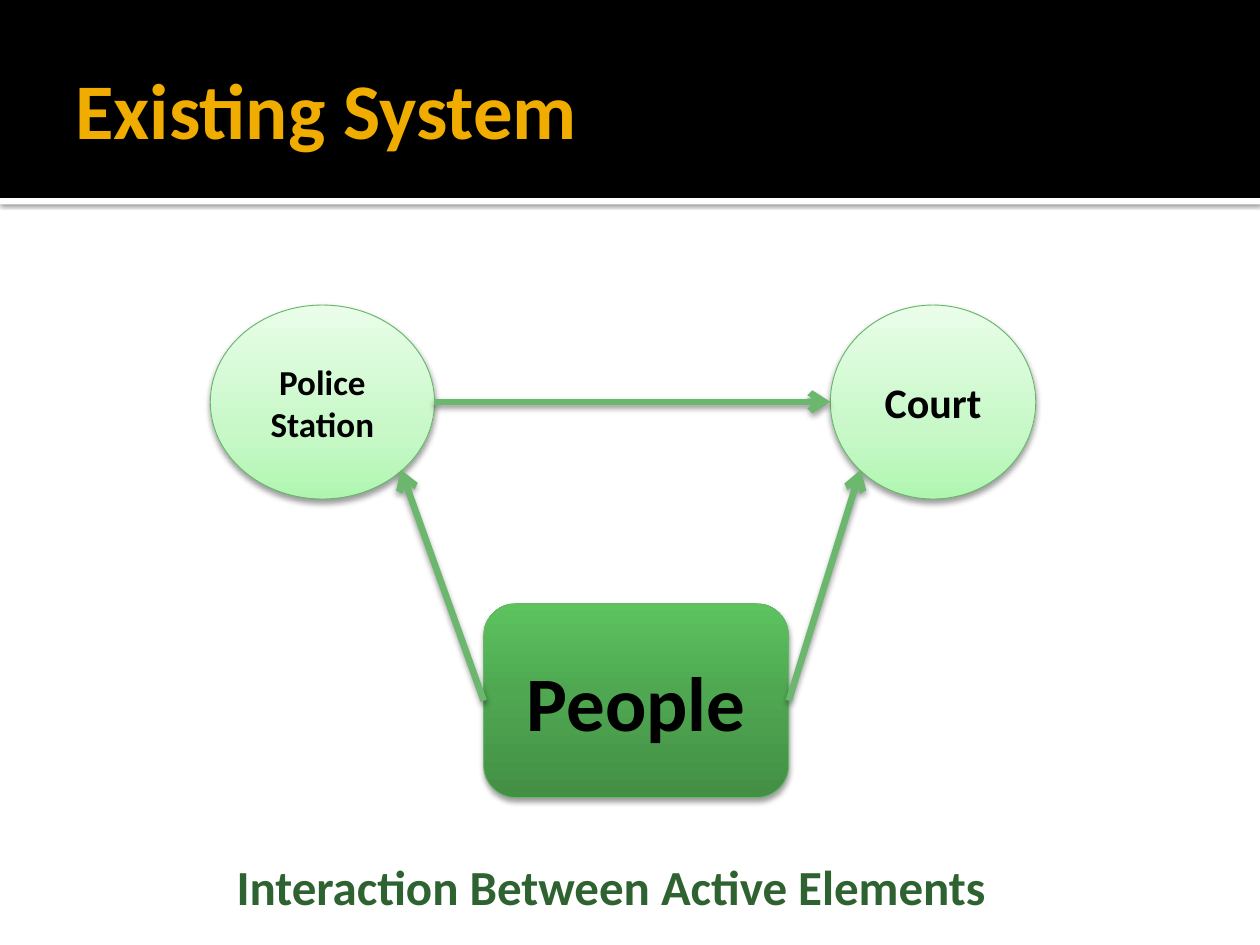
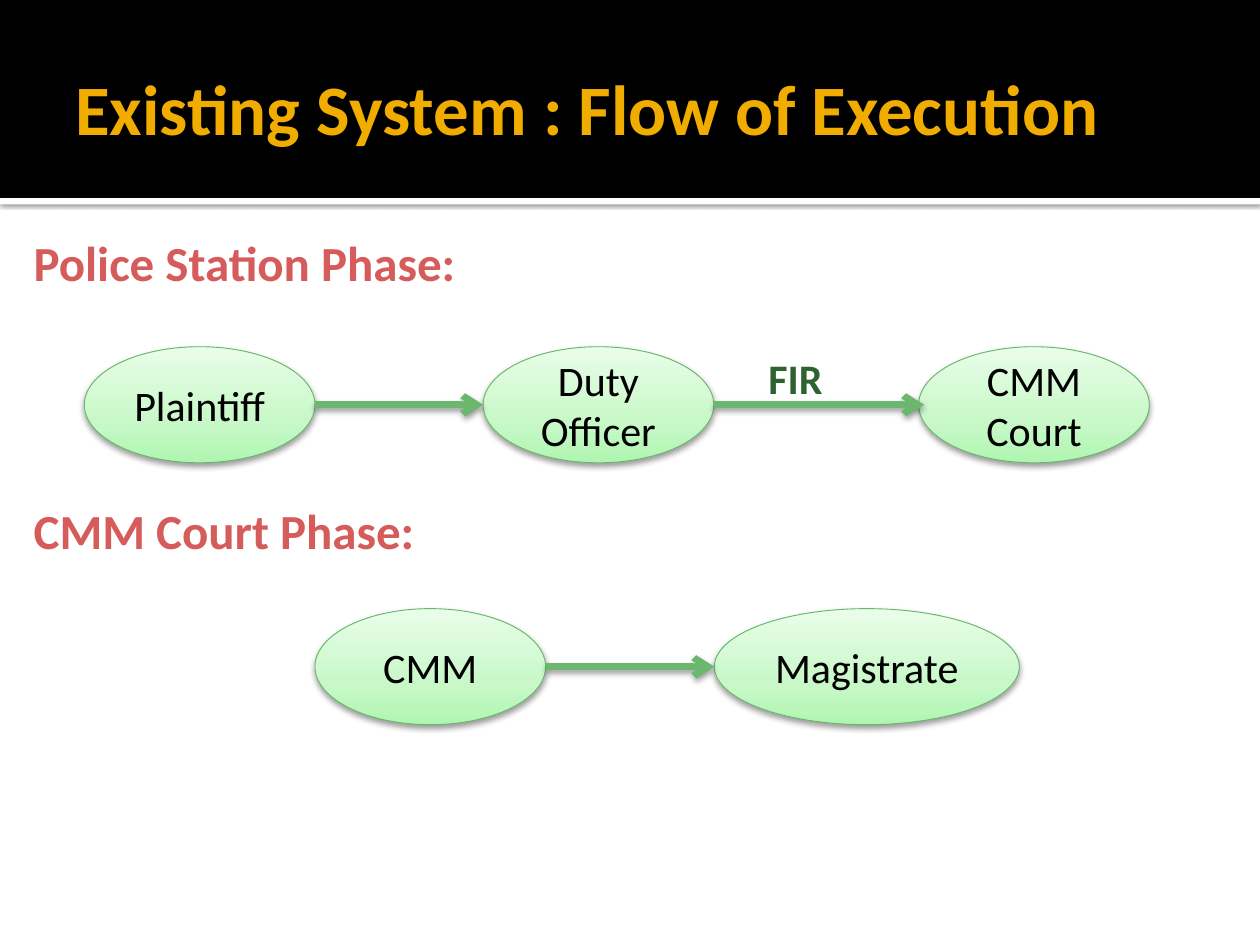
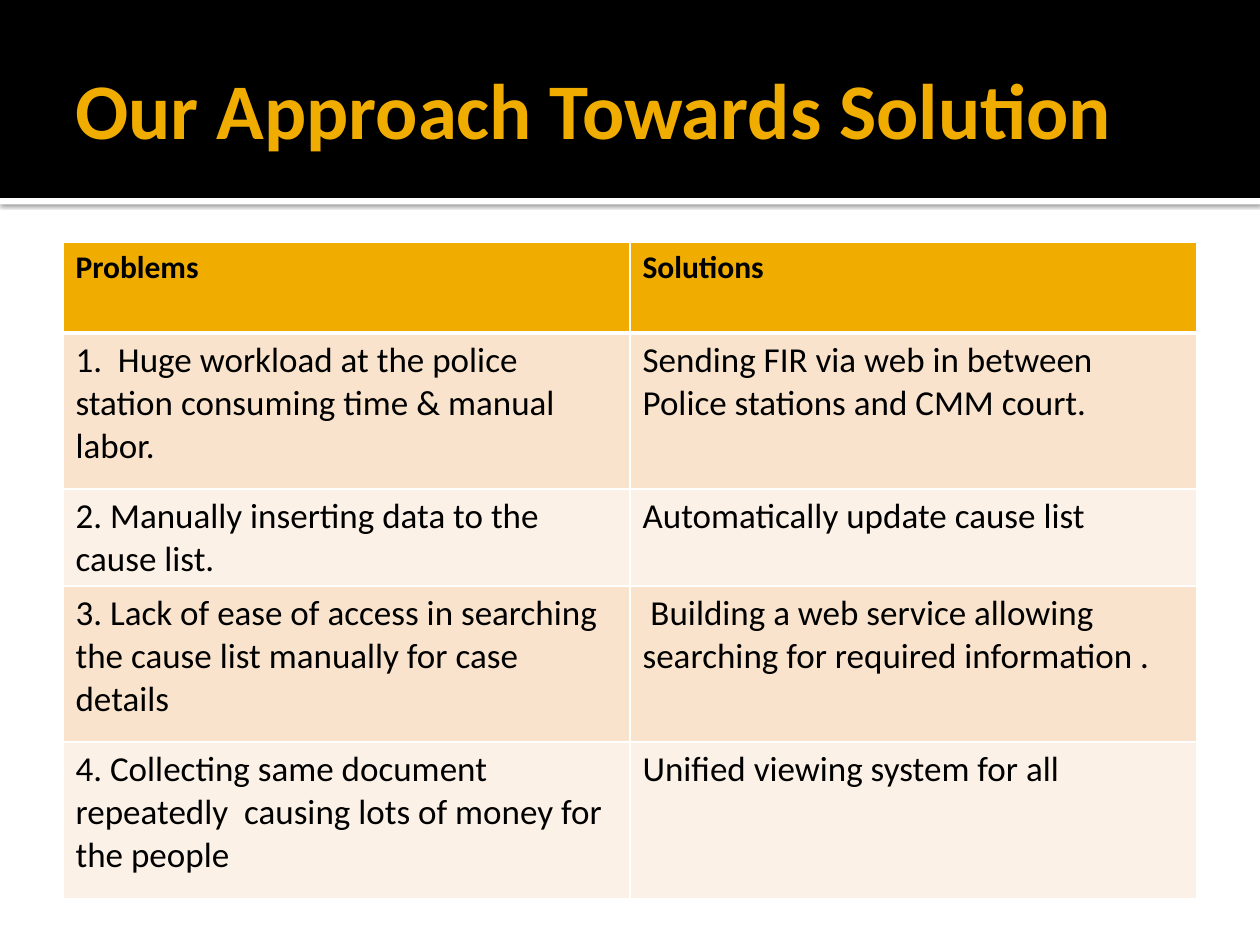
from copy import deepcopy
from lxml import etree
from pptx import Presentation
from pptx import util as u
from pptx.dml.color import RGBColor
from pptx.enum import shapes, text
from pptx.oxml.ns import qn

HUES = {
    "black": "000000", "white": "FFFFFF", "gold": "F0AD00",
    "edge": "67B569", "arrow": "6BB76D", "leaf": "2F6231", "rose": "D55C5B",
    "sand": "F9E3CC", "cream": "FCF1E7",
}
RGB = {name: RGBColor.from_string(code) for name, code in HUES.items()}
PALE = [(0, "B0F6B1"), (0.35, "C8F8C8"), (1, "E9FDE9")]
DEEP = [(0, "438F45"), (0.55, "4FA851"), (1, "5CC35F")]
OVAL = shapes.MSO_SHAPE.OVAL
ROUND = shapes.MSO_SHAPE.ROUNDED_RECTANGLE
MID = text.MSO_ANCHOR.MIDDLE


def write(frame, words, hue="black", **form):
    frame.text = words
    font = frame.paragraphs[0].runs[0].font
    for key, value in {"name": "Calibri", **form}.items():
        setattr(font, key, value)
    font.color.rgb = RGB[hue]


def shade(item, blur=3.5, drop=2, alpha=38):
    """Give a shape or connector a black shadow that falls straight down."""
    effect = etree.SubElement(item.element.spPr, qn("a:effectLst"))
    shadow = etree.SubElement(
        effect, qn("a:outerShdw"), blurRad=str(u.Pt(blur)), dist=str(u.Pt(drop)),
        dir="5400000", rotWithShape="0")
    color = etree.SubElement(shadow, qn("a:srgbClr"), val=HUES["black"])
    etree.SubElement(color, qn("a:alpha"), val=str(alpha * 1000))


# Nodes: words, kind, left, top, width, height, size, bold, stops
# Arrows: start, end, joined node and its site
# Labels: words, left, top, width, height, size, hue
row1, row2, wide, high = 6.99, 12.27, 4.65, 2.34
mid1, mid2 = row1 + high / 2, row2 + high / 2
pages = [
    {
        "title": "Existing System", "size": 45,
        "nodes": [
            ("Police Station", OVAL, 4.24, 6.15, 4.52, 3.91, 20, True, PALE),
            ("Court", OVAL, 16.74, 6.15, 4.14, 3.91, 24, True, PALE),
            ("People", ROUND, 9.75, 12.17, 6.15, 3.91, 44, True, DEEP),
        ],
        "arrows": [
            ((9.75, 14.12), (8.08, 9.47), ("People", 1)),
            ((15.9, 14.12), (17.35, 9.47), ("People", 3)),
            ((8.75, 8.1), (16.74, 8.1), None),
        ],
        "labels": [("Interaction Between Active Elements",
                    4.52, 17.15, 16.43, 1.45, 28, "leaf")],
    },
    {
        "title": "Existing System : Flow of Execution", "size": 40.5,
        "nodes": [
            ("Plaintiff", OVAL, 1.7, row1, wide, high, 24, False, PALE),
            ("Duty Officer", OVAL, 9.74, row1, wide, high, 24, False, PALE),
            ("CMM Court", OVAL, 18.52, row1, wide, high, 24, False, PALE),
            ("CMM", OVAL, 6.35, row2, wide, high, 24, False, PALE),
            ("Magistrate", OVAL, 14.4, row2, 6.15, high, 24, False, PALE),
        ],
        "arrows": [
            ((6.35, mid1), (9.74, mid1), None),
            ((14.39, mid1), (18.63, mid1), None),
            ((11, mid2), (14.4, mid2), None),
        ],
        "labels": [
            ("Police Station Phase:", 0.43, 4.57, 9.55, 1.45, 28, "rose"),
            ("FIR", 15.24, 6.99, 1.73, 1.27, 24, "leaf"),
            ("CMM Court Phase:", 0.43, 9.96, 8.41, 1.45, 28, "rose"),
        ],
    },
    {
        "title": "Our Approach Towards Solution", "size": 45,
        "nodes": [], "arrows": [], "labels": [],
    },
]

deck = Presentation()
deck.slide_width, deck.slide_height = u.Cm(25.4), u.Cm(19.05)

for page in pages:
    slide = deck.slides.add_slide(deck.slide_layouts[6])
    for hue, top, tall in (("white", 3.99, 0.13), ("black", 0, 3.99)):
        band = slide.shapes.add_shape(
            shapes.MSO_SHAPE.RECTANGLE, 0, u.Cm(top), deck.slide_width, u.Cm(tall))
        band.fill.solid()
        band.fill.fore_color.rgb = RGB[hue]
        band.line.fill.background()
        if hue == "white":
            shade(band, 2.5, 0.8, 60)
        else:
            band.shadow.inherit = False

    head = slide.shapes.add_textbox(*map(u.Cm, (1.27, 0.43, 22.86, 3.48))).text_frame
    for key, value in {"word_wrap": True, "vertical_anchor": MID,
                       "margin_left": u.Cm(0.25), "margin_right": u.Cm(0.13)}.items():
        setattr(head, key, value)
    write(head, page["title"], "gold", size=u.Pt(page["size"]), bold=True)

    made = {}
    for words, kind, *box, size, bold, stops in page["nodes"]:
        node = made[words] = slide.shapes.add_shape(kind, *map(u.Cm, box))
        node.fill.gradient()
        node.fill.gradient_angle = 90
        ramp = node.element.spPr.find(".//" + qn("a:gsLst"))
        ramp.append(deepcopy(ramp[0]))
        for stop, (place, code) in zip(node.fill.gradient_stops, stops):
            stop.position = place
            stop.color.rgb = RGBColor.from_string(code)
        node.line.color.rgb = RGB["edge"]
        node.line.width = u.Pt(0.5)
        shade(node)
        write(node.text_frame, words, size=u.Pt(size), bold=bold)
        node.text_frame.vertical_anchor = MID
        node.text_frame.paragraphs[0].alignment = text.PP_ALIGN.CENTER

    for start, end, join in page["arrows"]:
        arrow = slide.shapes.add_connector(
            shapes.MSO_CONNECTOR.STRAIGHT, *map(u.Cm, start + end))
        if join:
            name, site = join
            arrow.begin_connect(made[name], site)
        arrow.line.color.rgb = RGB["arrow"]
        arrow.line.width = u.Pt(3.78)
        etree.SubElement(arrow.element.spPr.find(qn("a:ln")), qn("a:tailEnd"), type="arrow")
        shade(arrow)

    for words, *box, size, hue in page["labels"]:
        label = slide.shapes.add_textbox(*map(u.Cm, box)).text_frame
        label.word_wrap = False
        write(label, words, hue, size=u.Pt(size), bold=True)

rows = [
    ("Problems", "Solutions"),
    ("1.  Huge workload at the police station consuming time & manual labor.",
     "Sending FIR via web in between Police stations and CMM court."),
    ("2. Manually inserting data to the cause list.",
     "Automatically update cause list"),
    ("3. Lack of ease of access in searching the cause list manually for case details",
     " Building a web service allowing searching for required information ."),
    ("4. Collecting same document repeatedly  causing lots of money for the people",
     "Unified viewing system for all"),
]
talls = [1.83, 3.15, 1.83, 3.15, 3.15]
grid = slide.shapes.add_table(
    len(rows), 2, *map(u.Cm, (1.27, 4.88, 22.86, sum(talls)))).table
for r, (pair, tall) in enumerate(zip(rows, talls)):
    grid.rows[r].height = u.Cm(tall)
    first = r == 0
    for c, words in enumerate(pair):
        cell = grid.cell(r, c)
        write(cell.text_frame, words, size=u.Pt(18 if first else 20), bold=first)
        props = cell._tc.get_or_add_tcPr()
        for side in "LRTB":
            thick = 3 if (r, side) in ((0, "B"), (1, "T")) else 1
            edge = etree.SubElement(props, qn("a:ln" + side), w=str(u.Pt(thick)))
            paint = etree.SubElement(edge, qn("a:solidFill"))
            etree.SubElement(paint, qn("a:srgbClr"), val=HUES["white"])
        cell.fill.solid()
        cell.fill.fore_color.rgb = RGB["gold" if first else "sand" if r % 2 else "cream"]

deck.save("out.pptx")
